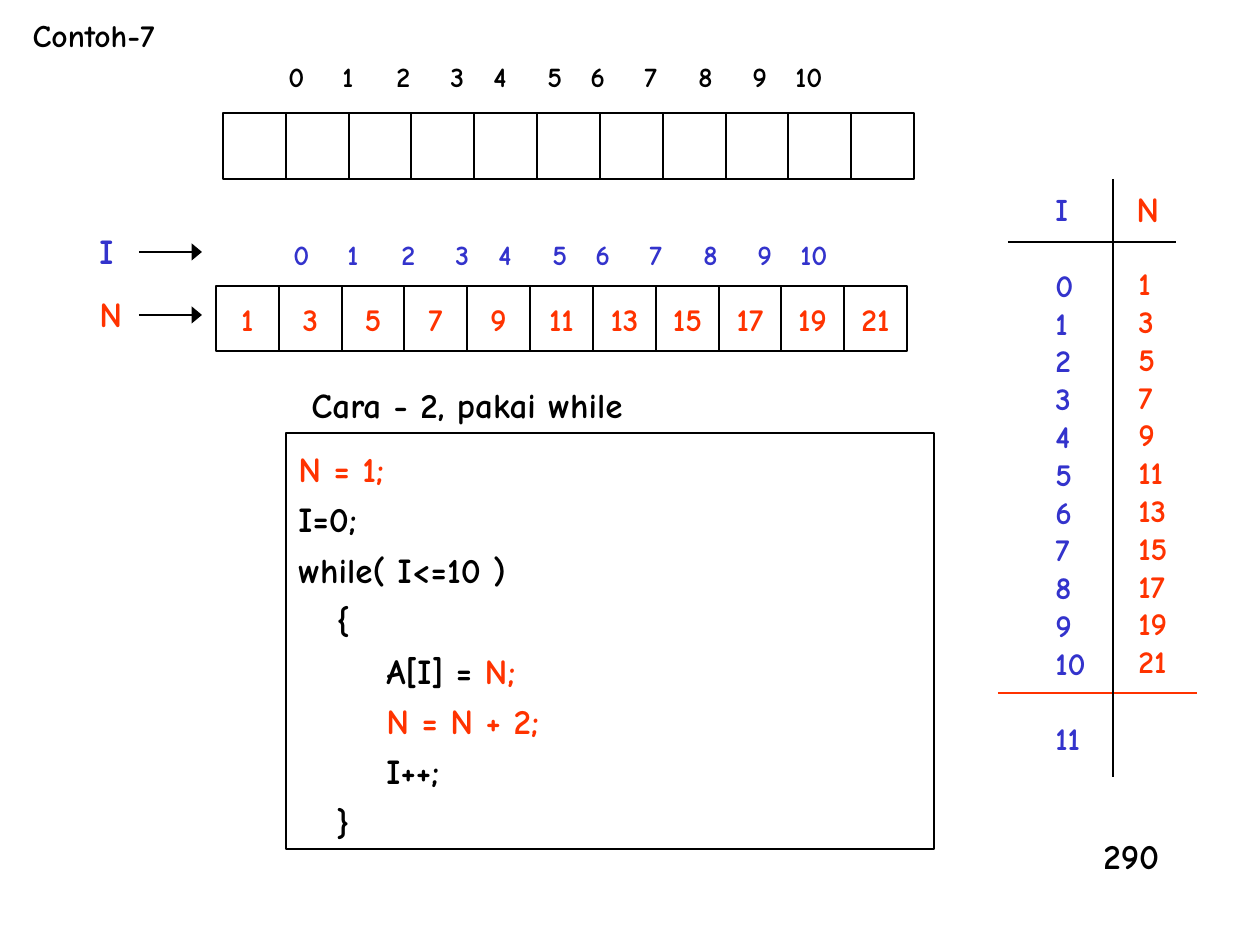
import itertools

import pptx
import pptx.dml.color
import pptx.enum.shapes
import pptx.enum.text
import pptx.oxml
import pptx.oxml.ns
import pptx.util

PX = 914400 // 126
FONT = "Comic Neue"
COLORS = {"ink": "000000", "index": "3333CC", "value": "FF3300"}
INDEXES = [str(number) for number in range(11)]
VALUES = [str(2 * number + 1) for number in range(11)]
WIDE, NARROW = 54, 43
INDEX_GAPS = [WIDE, WIDE, WIDE, NARROW, WIDE, NARROW, WIDE, WIDE, WIDE, NARROW]
CODE = [
    (0, [("N = 1;", "value")]),
    (0, [("I=0;", "ink")]),
    (0, [("while( I<=10 )", "ink")]),
    (38, [("{", "ink")]),
    (88, [("A[I] = ", "ink"), ("N;", "value")]),
    (88, [("N = N + 2;", "value")]),
    (88, [("I++;", "ink")]),
    (38, [("}", "ink")]),
]


def px(*lengths):
    return [length * PX for length in lengths]


def rgb(color):
    return pptx.dml.color.RGBColor.from_string(COLORS[color])


def style(paragraph, size, color=None):
    font = paragraph.font
    font.name, font.size, font.bold = FONT, pptx.util.Pt(size), True
    if color:
        font.color.rgb = rgb(color)


def add_text(shapes, box, lines, size, color):
    frame = shapes.add_textbox(*px(*box)).text_frame
    frame.word_wrap = True
    frame.text = "\n".join(lines)
    for paragraph in frame.paragraphs:
        style(paragraph, size, color)
    return frame


def add_box(shapes, box):
    shape = shapes.add_shape(pptx.enum.shapes.MSO_SHAPE.RECTANGLE, *px(*box))
    shape.shadow.inherit = False
    shape.fill.background()
    shape.line.color.rgb = rgb("ink")
    shape.line.width = pptx.util.Pt(0.75)
    return shape


def add_line(shapes, start, end, color="ink", arrow=False):
    connector = shapes.add_connector(
        pptx.enum.shapes.MSO_CONNECTOR.STRAIGHT, *px(*start, *end))
    connector.line.color.rgb = rgb(color)
    connector.line.width = pptx.util.Pt(0.75)
    namespace = pptx.oxml.ns.nsdecls("a")
    properties = connector._element.spPr
    if arrow:
        outline = properties.find(pptx.oxml.ns.qn("a:ln"))
        outline.append(pptx.oxml.parse_xml(
            f'<a:tailEnd {namespace} type="triangle" w="lg" len="med"/>'))
    properties.append(pptx.oxml.parse_xml(f"<a:effectLst {namespace}/>"))


def add_heading(slide, box):
    title = slide.shapes.title
    title.left, title.top, title.width, title.height = px(*box)
    frame = title.text_frame
    frame.text = "Contoh-7"
    frame.word_wrap = True
    frame.auto_size = pptx.enum.text.MSO_AUTO_SIZE.NONE
    frame.vertical_anchor = pptx.enum.text.MSO_ANCHOR.TOP
    paragraph = frame.paragraphs[0]
    paragraph.alignment = pptx.enum.text.PP_ALIGN.LEFT
    style(paragraph, 18, "ink")


def add_index_labels(shapes, box, color):
    frame = add_text(shapes, box, ["\t".join(INDEXES)], 16, color)
    stops = "".join(f'<a:tab pos="{offset * PX}" algn="l"/>'
                    for offset in itertools.accumulate(INDEX_GAPS))
    properties = frame.paragraphs[0]._p.get_or_add_pPr()
    properties.insert(0, pptx.oxml.parse_xml(
        f'<a:tabLst {pptx.oxml.ns.nsdecls("a")}>{stops}</a:tabLst>'))


def add_array(shapes, box, label_offset, label_color, values=()):
    left, top, width, height = box
    label_left, label_top = label_offset
    add_index_labels(shapes, (left + label_left, top + label_top, 588, 46),
                     label_color)
    edges = [left + round(width * number / 11) for number in range(12)]
    for start, end, value in itertools.zip_longest(
            edges[:-1], edges[1:], values):
        cell = add_box(shapes, (start, top, end - start, height))
        if value:
            frame = cell.text_frame
            frame.word_wrap = False
            frame.text = value
            frame.paragraphs[0].alignment = pptx.enum.text.PP_ALIGN.CENTER
            style(frame.paragraphs[0], 18, "value")


def add_pointer(shapes, box, name, color):
    left, top, width, height = box
    add_text(shapes, (left, top, 52, height), [name], 20, color)
    add_line(shapes, (left + 52, top + 29), (left + width, top + 29),
             arrow=True)


def add_code(shapes, box):
    left, top, width, height = box
    add_text(shapes, (left + 13, top - 56, 360, 55),
             ["Cara - 2, pakai while"], 20, "ink")
    frame = add_box(shapes, box).text_frame
    frame.word_wrap = True
    frame.vertical_anchor = pptx.enum.text.MSO_ANCHOR.TOP
    for number, (indent, runs) in enumerate(CODE):
        paragraph = frame.add_paragraph() if number else frame.paragraphs[0]
        paragraph.alignment = pptx.enum.text.PP_ALIGN.LEFT
        paragraph.line_spacing = 1.2
        paragraph._p.get_or_add_pPr().set("marL", str(indent * PX))
        style(paragraph, 20)
        for text, color in runs:
            run = paragraph.add_run()
            run.text = text
            run.font.color.rgb = rgb(color)


def add_trace(shapes, box):
    left, top, width, height = box
    frame = add_text(shapes, (left + 45, top + 5, 68, 580),
                     ["I", *INDEXES, "11"], 18, "index")
    for row in (1, 12):
        frame.paragraphs[row].space_before = pptx.util.Pt(21.6)
    add_text(shapes, (left + 128, top + 79, 68, 428), VALUES, 18, "value")
    add_text(shapes, (left + 126, top + 2, 60, 55), ["N"], 20, "value")
    add_line(shapes, (left + 10, top + 63), (left + 178, top + 63))
    add_line(shapes, (left, top + 514), (left + width, top + 514), "value")
    add_line(shapes, (left + 115, top), (left + 115, top + height))


def main():
    presentation = pptx.Presentation()
    presentation.slide_width, presentation.slide_height = px(1260, 945)
    slide = presentation.slides.add_slide(presentation.slide_layouts[5])
    shapes = slide.shapes
    add_heading(slide, (20, 10, 180, 50))
    add_array(shapes.add_group_shape().shapes, (223, 113, 691, 66),
              (53, -60), "ink")
    add_array(shapes, (216, 286, 691, 65), (65, -55), "index", VALUES)
    add_pointer(shapes, (87, 223, 115, 55), "I", "index")
    add_pointer(shapes, (87, 286, 115, 55), "N", "value")
    add_code(shapes, (286, 433, 648, 416))
    add_trace(shapes, (998, 179, 199, 598))
    add_text(shapes, (1091, 828, 100, 55), ["290"], 20, "ink")
    presentation.save("out.pptx")


if __name__ == "__main__":
    main()
